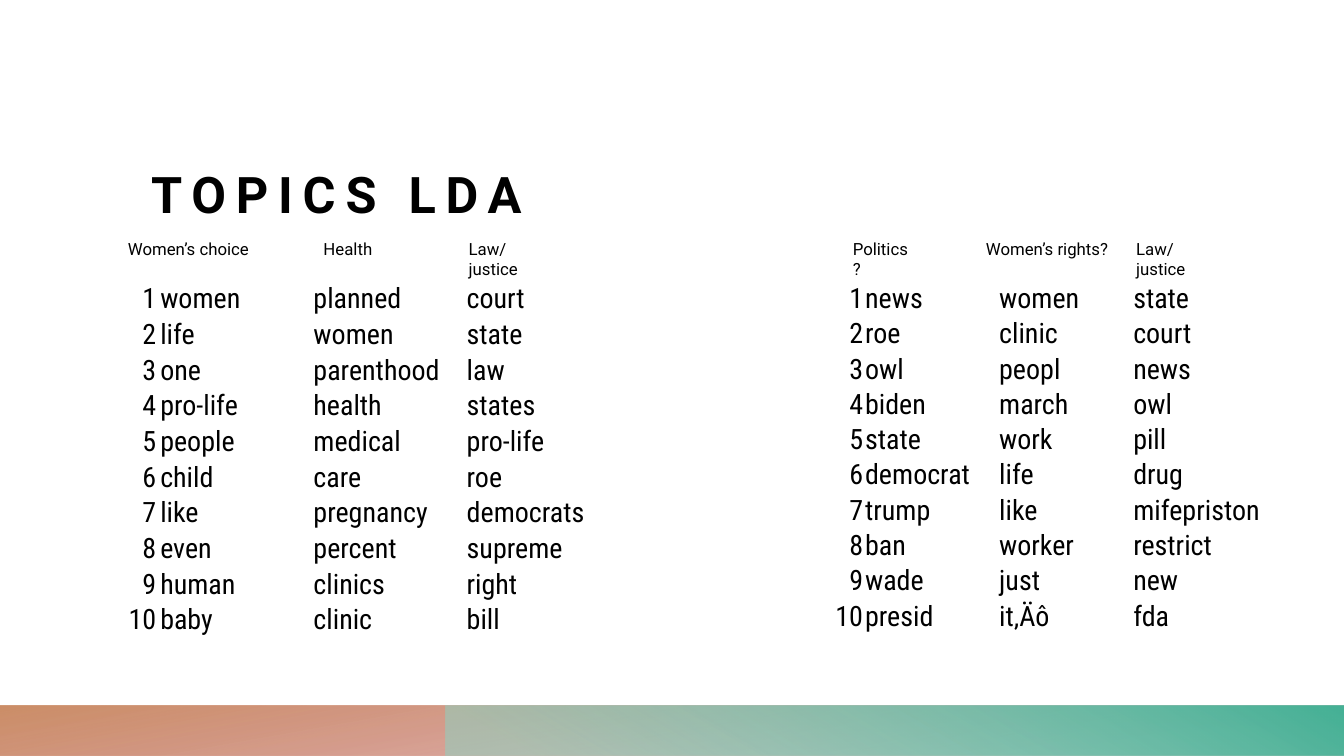
from dataclasses import dataclass

from lxml import etree
from pptx import Presentation
from pptx import util as u
from pptx.dml.color import RGBColor
from pptx.enum import shapes, text
from pptx.oxml import parse_xml
from pptx.oxml.ns import nsdecls, qn


@dataclass(frozen=True)
class Theme:
    ink: str = "000000"
    heading_font: str = "Roboto"
    word_font: str = "Roboto Condensed"
    title_size: int = 36
    word_size: int = 20
    label_size: int = 12
    title_tracking: int = 700
    # gradient stops: position %, colour, opacity %
    warm: tuple = ((14, "B13B3E", 28), (100, "C37B4D", 85))
    cool: tuple = ((9, "8ED2C1", 55), (99, "46B196", 100))


THEME = Theme()
WIDTH, HEIGHT = 13.33, 7.5
BAND_TOP = HEIGHT * 14 / 15
WORDS_TOP, LABELS_TOP, LABEL_HEIGHT = 2.78, 2.32, 0.3

FIRST_TOPICS = (
    "women life one pro-life people child like even human baby".split(),
    "planned women parenthood health medical care pregnancy percent clinics clinic".split(),
    "court state law states pro-life roe democrats supreme right bill".split(),
)
SECOND_TOPICS = (
    "news roe owl biden state democrat trump ban wade presid".split(),
    "women clinic peopl march work life like worker just it‚Äô".split(),
    "state court news owl pill drug mifepriston restrict new fda".split(),
)
# label, left, width
TOPIC_LABELS = (
    ("Women’s choice", 1.17, 1.46),
    ("Health", 3.11, 0.72),
    ("Law/justice", 4.55, 1.04),
    ("Politics?", 8.36, 0.8),
    ("Women’s rights?", 9.68, 1.47),
    ("Law/justice", 11.17, 1.04),
)


def style_text(paragraph, font_name, size, bold=False):
    for run in paragraph.runs:
        run.font.name = font_name
        run.font.size = u.Pt(size)
        run.font.bold = bold
        run.font.color.rgb = RGBColor.from_string(THEME.ink)


def add_band(slide, left, stops, angle, rotation=0):
    """Add a mirrored footer band, from left to the slide's right edge."""
    band = slide.shapes.add_shape(
        shapes.MSO_SHAPE.RECTANGLE, u.Inches(left), u.Inches(BAND_TOP),
        u.Inches(WIDTH - left), u.Inches(HEIGHT - BAND_TOP))
    band.shadow.inherit = False
    band.line.fill.background()
    band.rotation = rotation
    properties = band._element.spPr
    properties.find(qn("a:xfrm")).set("flipH", "1")
    stop_xml = "".join(
        f'<a:gs pos="{position * 1000}"><a:srgbClr val="{colour}">'
        f'<a:alpha val="{opacity * 1000}"/></a:srgbClr></a:gs>'
        for position, colour, opacity in stops)
    gradient = parse_xml(
        f'<a:gradFill {nsdecls("a")} rotWithShape="1"><a:gsLst>{stop_xml}</a:gsLst>'
        f'<a:lin ang="{angle * 60000}" scaled="0"/></a:gradFill>')
    properties.find(qn("a:prstGeom")).addnext(gradient)


def add_title(slide, wording):
    title = slide.shapes.add_textbox(
        u.Inches(1.5), u.Inches(0.87), u.Inches(11.2), u.Inches(1.35))
    frame = title.text_frame
    frame.word_wrap = True
    frame.vertical_anchor = text.MSO_ANCHOR.BOTTOM
    frame.margin_left = frame.margin_right = frame.margin_top = frame.margin_bottom = 0
    frame.text = wording
    heading = frame.paragraphs[0]
    style_text(heading, THEME.heading_font, THEME.title_size, bold=True)
    heading.runs[0].font._element.set("spc", str(THEME.title_tracking))


def add_label(slide, wording, left, width):
    label = slide.shapes.add_textbox(
        u.Inches(left), u.Inches(LABELS_TOP), u.Inches(width), u.Inches(LABEL_HEIGHT))
    label.text_frame.word_wrap = True
    label.text_frame.text = wording
    style_text(label.text_frame.paragraphs[0], THEME.heading_font, THEME.label_size)


def add_topic_words(slide, topics, left, column_width, row_height, margin):
    """Add an unfilled table with a rank column and one column per topic."""
    ranked_words = list(zip(range(1, len(topics[0]) + 1), *topics))
    row_count, column_count = len(ranked_words), len(topics) + 1
    table = slide.shapes.add_table(
        row_count, column_count, u.Inches(left), u.Inches(WORDS_TOP),
        u.Inches(column_width * column_count), u.Inches(row_height * row_count)).table
    table.first_row = table.horz_banding = False
    for column in table.columns:
        column.width = u.Inches(column_width)
    for row, words in zip(table.rows, ranked_words):
        row.height = u.Inches(row_height)
        for position, (cell, word) in enumerate(zip(row.cells, words)):
            cell.text = str(word)
            cell.vertical_anchor = text.MSO_ANCHOR.BOTTOM
            cell.margin_left = cell.margin_right = cell.margin_top = u.Inches(margin)
            cell.margin_bottom = 0
            entry = cell.text_frame.paragraphs[0]
            entry.alignment = text.PP_ALIGN.LEFT if position else text.PP_ALIGN.RIGHT
            style_text(entry, THEME.word_font, THEME.word_size)
            hide_borders(cell)
            cell.fill.background()


def hide_borders(cell):
    properties = cell._tc.get_or_add_tcPr()
    for side in ("a:lnL", "a:lnR", "a:lnT", "a:lnB"):
        border = etree.SubElement(properties, qn(side), w="0")
        etree.SubElement(border, qn("a:noFill"))


def main():
    deck = Presentation()
    deck.slide_width, deck.slide_height = u.Inches(WIDTH), u.Inches(HEIGHT)
    slide = deck.slides.add_slide(deck.slide_layouts[6])
    add_band(slide, 0, THEME.warm, angle=100, rotation=180)
    add_band(slide, 4.42, THEME.cool, angle=240)
    add_title(slide, "TOPICS LDA")
    add_topic_words(slide, FIRST_TOPICS, 0.05, 1.52, 0.31, 0.02)
    add_topic_words(slide, SECOND_TOPICS, 7.24, 1.33, 0.35, 0.01)
    for wording, left, width in TOPIC_LABELS:
        add_label(slide, wording, left, width)
    deck.save("out.pptx")


if __name__ == "__main__":
    main()
